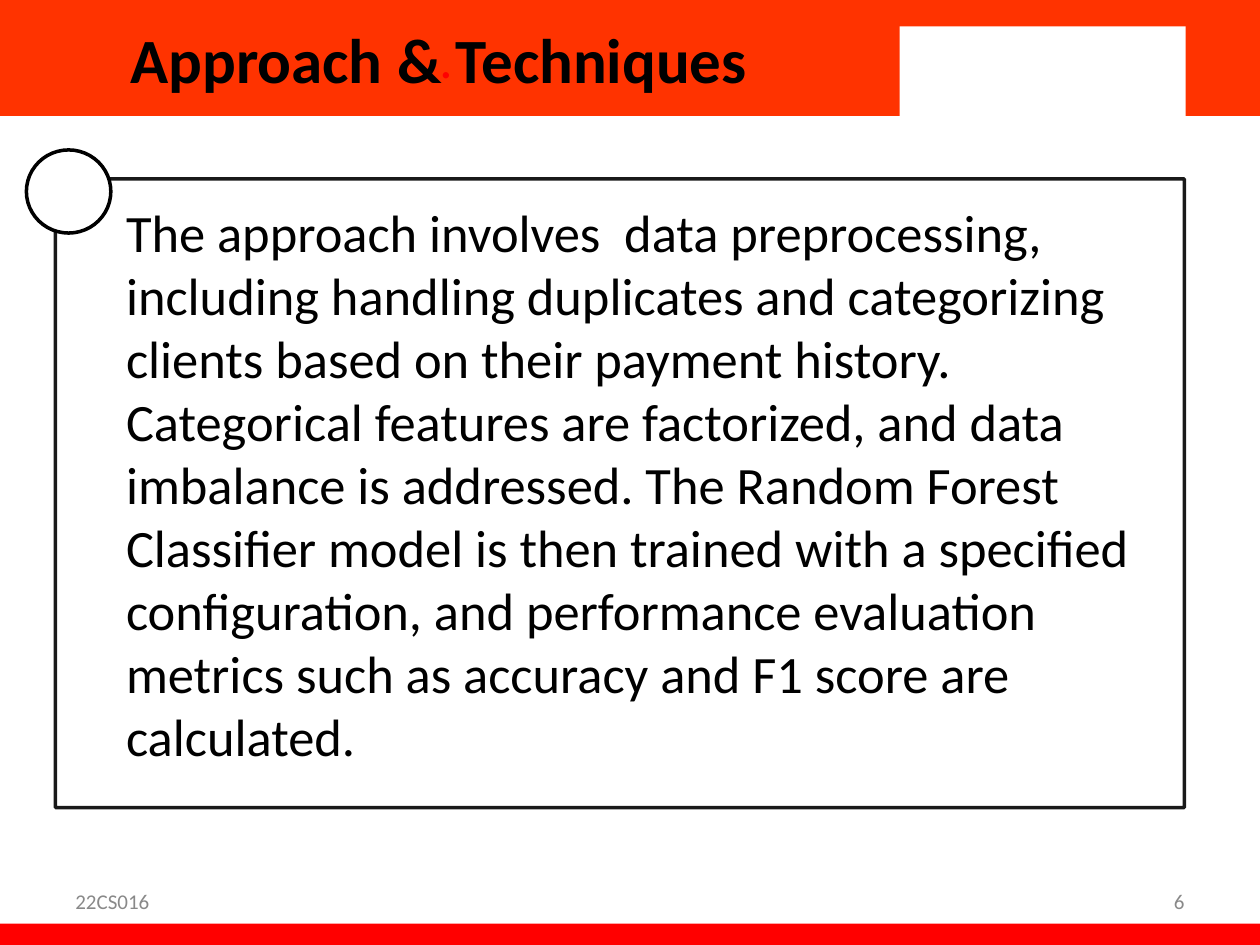
"""Build the Approach & Techniques slide."""
from dataclasses import dataclass

from lxml import etree
from pptx import Presentation
from pptx.dml.color import RGBColor
from pptx.enum.shapes import MSO_SHAPE
from pptx.enum.text import MSO_ANCHOR, MSO_AUTO_SIZE, PP_ALIGN
from pptx.oxml.ns import qn
from pptx.util import Inches, Pt

RECT, OVAL = MSO_SHAPE.RECTANGLE, MSO_SHAPE.OVAL
TOP, MID = MSO_ANCHOR.TOP, MSO_ANCHOR.MIDDLE
LEFT, MIDDLE, RIGHT = PP_ALIGN.LEFT, PP_ALIGN.CENTER, PP_ALIGN.RIGHT
FIXED = MSO_AUTO_SIZE.NONE
COLS, ROWS = 10, 7.5
BAND = (0, 0, 7.08, 0.92)
HEADING = "Approach & Techniques "
BODY = (
    "The approach involves  data preprocessing, including handling duplicates "
    "and categorizing clients based on their payment history. Categorical "
    "features are factorized, and data imbalance is addressed. The Random "
    "Forest Classifier model is then trained with a specified configuration, "
    "and performance evaluation metrics such as accuracy and F1 score are "
    "calculated."
)


@dataclass(frozen=True)
class Theme:
    """Colours, font and type sizes."""

    font: str = "Calibri"
    band: str = "FF3300"
    red: str = "FF0000"
    white: str = "FFFFFF"
    ink: str = "000000"
    grey: str = "898989"
    head: int = 36
    text: int = 30
    small: int = 12
    rule: int = 2


THEME = Theme()


def place(shape, box):
    """Set a shape's left, top, width and height in grid units."""
    shape.left, shape.top, shape.width, shape.height = map(Inches, box)


def raise_up(shape):
    """Bring a shape to the front."""
    shape.element.getparent().append(shape.element)


def fade(shape, share):
    """Set the opacity of a shape's fill and line in percent."""
    for color in shape.element.spPr.iter(qn("a:srgbClr")):
        etree.SubElement(color, qn("a:alpha"), val=str(share * 1000))


def block(slide, kind, box, fill, line=None):
    """Add a filled shape with an optional outline."""
    shape = slide.shapes.add_shape(kind, *map(Inches, box))
    shape.shadow.inherit = False
    shape.fill.solid()
    shape.fill.fore_color.rgb = RGBColor.from_string(fill)
    if line:
        shape.line.color.rgb = RGBColor.from_string(line)
        shape.line.width = Pt(THEME.rule)
    else:
        shape.line.fill.background()
    return shape


def write(shape, text, size, color, align=LEFT, anchor=MID, bold=False):
    """Fill a shape with one styled run and return its paragraph."""
    frame = shape.text_frame
    frame.word_wrap = True
    frame.auto_size = FIXED
    frame.vertical_anchor = anchor
    para = frame.paragraphs[0]
    para.alignment = align
    run = para.add_run()
    run.text = text
    font = run.font
    font.name, font.size, font.bold = THEME.font, Pt(size), bold
    font.color.rgb = RGBColor.from_string(color)
    return para


def label(slide, box, *args, **style):
    """Add a text box."""
    write(slide.shapes.add_textbox(*map(Inches, box)), *args, **style)


def bands(slide):
    """Draw the top and bottom bands with the white panel."""
    block(slide, RECT, (0, 0, COLS, BAND[3]), THEME.band)
    block(slide, RECT, (0, 7.33, COLS, 0.22), THEME.red)
    block(slide, RECT, (7.14, 0.21, 2.27, 0.75), THEME.white)


def titles(slide):
    """Write the title and the heading over it."""
    title = slide.shapes.title
    place(title, BAND)
    raise_up(title)
    write(title, ".", THEME.text, THEME.red, MIDDLE)
    label(slide, BAND, HEADING, THEME.head, THEME.ink, MIDDLE, bold=True)


def footer(slide):
    """Write the course code and page number at equal margins."""
    edge, top, wide, high = 0.5, 6.95, 2.33, 0.4
    marks = ((edge, "22CS016", LEFT), (COLS - edge - wide, "6", RIGHT))
    for left, text, align in marks:
        label(slide, (left, top, wide, high), text, THEME.small, THEME.grey, align)


def content(slide):
    """Draw the frame with its circle and write the body."""
    card = block(slide, RECT, (0.44, 1.42, 8.96, 4.99), THEME.white, THEME.ink)
    fade(card, 90)
    block(slide, OVAL, (0.21, 1.19, 0.67, 0.66), THEME.white, THEME.ink)
    body = slide.placeholders[1]
    place(body, (0.78, 1.54, 8.72, 6.03))
    raise_up(body)
    para = write(body, BODY, THEME.text, THEME.ink, anchor=TOP)
    para.space_before = Pt(3.6)
    props = para._p.get_or_add_pPr()
    props.set("marL", str(Inches(0.12)))
    props.set("indent", "0")
    etree.SubElement(props, qn("a:buNone"))


def main():
    """Build and save the slide."""
    deck = Presentation()
    deck.slide_width, deck.slide_height = Inches(COLS), Inches(ROWS)
    slide = deck.slides.add_slide(deck.slide_layouts[1])
    bands(slide)
    titles(slide)
    footer(slide)
    content(slide)
    deck.save("out.pptx")


if __name__ == "__main__":
    main()
